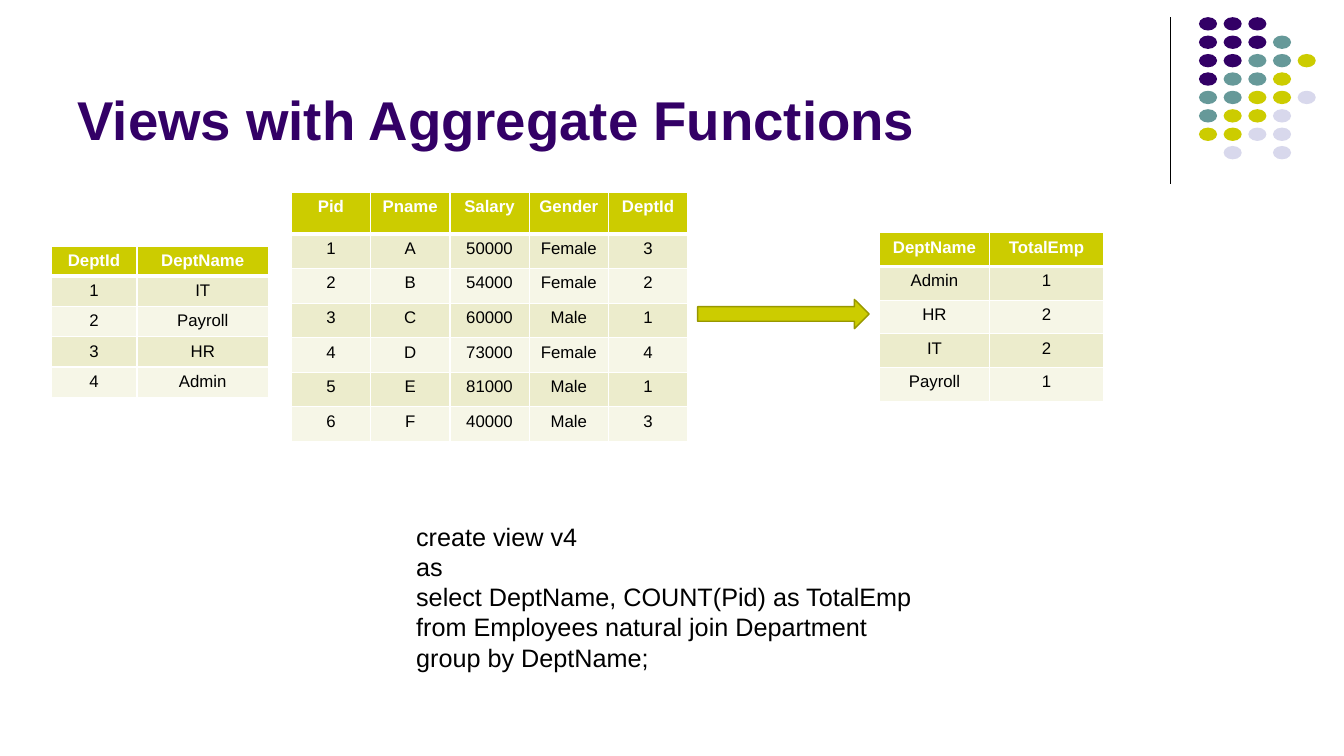
from collections import namedtuple

from lxml import etree
from pptx import Presentation
from pptx.dml.color import RGBColor
from pptx.enum.shapes import MSO_CONNECTOR, MSO_SHAPE
from pptx.enum.text import MSO_ANCHOR, PP_ALIGN
from pptx.oxml.ns import qn
from pptx.util import Emu, Inches, Pt

STRAIGHT = MSO_CONNECTOR.STRAIGHT
OVAL, RIGHT_ARROW = MSO_SHAPE.OVAL, MSO_SHAPE.RIGHT_ARROW
TOP, BOTTOM = MSO_ANCHOR.TOP, MSO_ANCHOR.BOTTOM
LEFT, CENTER = PP_ALIGN.LEFT, PP_ALIGN.CENTER

BLACK = RGBColor(0x00, 0x00, 0x00)
WHITE = RGBColor(0xFF, 0xFF, 0xFF)
PURPLE = RGBColor(0x33, 0x00, 0x66)
TEAL = RGBColor(0x66, 0x99, 0x99)
LIME = RGBColor(0xCC, 0xCC, 0x00)
OLIVE = RGBColor(0x97, 0x97, 0x00)
LAVENDER = RGBColor(0xD8, 0xD8, 0xEC)
BAND_DARK = RGBColor(0xEC, 0xEC, 0xCC)
BAND_LIGHT = RGBColor(0xF6, 0xF6, 0xE7)

SLIDE_WIDTH, SLIDE_HEIGHT = Inches(13.33), Inches(7.5)
Box = namedtuple("Box", "left top width height")

TITLE_FORMAT = {"size": Pt(39), "bold": True, "name": "Arial"}
CODE_FORMAT = {"size": Pt(18), "bold": False, "name": "Arial"}
HEADER_FORMAT = {"size": Pt(12), "bold": True, "name": "Arial"}
BODY_FORMAT = {**HEADER_FORMAT, "bold": False}

DOT_COLORS = {"P": PURPLE, "T": TEAL, "L": LIME, "V": LAVENDER}
DOT_ROWS = ["PPP", "PPPT", "PPTTL", "PTTL", "TTLLV", "TLLV", "LLVV", " V V"]

VIEW_CODE = [
    "create view v4",
    "as",
    "select DeptName, COUNT(Pid) as TotalEmp",
    "from Employees natural join Department",
    "group by DeptName;",
]
DEPARTMENTS = [
    ("DeptId", "DeptName"),
    ("1", "IT"), ("2", "Payroll"), ("3", "HR"), ("4", "Admin"),
]
EMPLOYEES = [
    ("Pid", "Pname", "Salary", "Gender", "DeptId"),
    ("1", "A", "50000", "Female", "3"),
    ("2", "B", "54000", "Female", "2"),
    ("3", "C", "60000", "Male", "1"),
    ("4", "D", "73000", "Female", "4"),
    ("5", "E", "81000", "Male", "1"),
    ("6", "F", "40000", "Male", "3"),
]
TOTALS = [
    ("DeptName", "TotalEmp"),
    ("Admin", "1"), ("HR", "2"), ("IT", "2"), ("Payroll", "1"),
]


def percent_box(left, top, width, height):
    """Return a box given in percent of the slide's width and height."""
    return Box(
        Emu(round(SLIDE_WIDTH * left / 100)), Emu(round(SLIDE_HEIGHT * top / 100)),
        Emu(round(SLIDE_WIDTH * width / 100)), Emu(round(SLIDE_HEIGHT * height / 100)),
    )


def write_lines(text_frame, lines, formats, color, alignment=LEFT):
    """Write one paragraph per line with the given font values."""
    for index, line in enumerate(lines):
        paragraph = text_frame.add_paragraph() if index else text_frame.paragraphs[0]
        paragraph.alignment = alignment
        run = paragraph.add_run()
        run.text = line
        for name, value in formats.items():
            setattr(run.font, name, value)
        run.font.color.rgb = color


def add_text(slide, box, lines, formats, color, anchor=TOP):
    """Place a wrapping text box."""
    text_frame = slide.shapes.add_textbox(*box).text_frame
    text_frame.word_wrap = True
    text_frame.vertical_anchor = anchor
    write_lines(text_frame, lines, formats, color)


def add_dot_panel(slide, box):
    """Draw the vertical rule and the dot pattern to its right."""
    rule = slide.shapes.add_connector(
        STRAIGHT, box.left, box.top, box.left, box.top + box.height)
    rule.line.color.rgb = BLACK
    rule.line.width = Pt(0.75)
    etree.SubElement(rule._element.spPr, qn("a:effectLst"))

    dot_width, dot_height = box.width // 8, round(box.height * 0.08)
    column_step, row_step = round(box.width * 0.17), round(box.height * 0.11)
    first_left = box.left + box.width - dot_width - 4 * column_step
    dots = slide.shapes.add_group_shape()
    for row, codes in enumerate(DOT_ROWS):
        for column, code in enumerate(codes):
            if code in DOT_COLORS:
                dot = dots.shapes.add_shape(
                    OVAL, first_left + column * column_step,
                    box.top + row * row_step, dot_width, dot_height)
                dot.shadow.inherit = False
                dot.fill.solid()
                dot.fill.fore_color.rgb = DOT_COLORS[code]
                dot.line.fill.background()


def add_cell_borders(cell, bottom_width):
    """Give a cell white borders, placed ahead of its fill."""
    properties = cell._tc.get_or_add_tcPr()
    widths = {"a:lnL": 1, "a:lnR": 1, "a:lnT": 1, "a:lnB": bottom_width}
    for index, (tag, width) in enumerate(widths.items()):
        border = etree.Element(qn(tag), w=str(Pt(width)))
        fill = etree.SubElement(border, qn("a:solidFill"))
        etree.SubElement(fill, qn("a:srgbClr"), val=str(WHITE))
        properties.insert(index, border)


def add_data_table(slide, box, rows, column_weights, header_weight=1):
    """Place a banded table whose columns and rows share out the box."""
    table = slide.shapes.add_table(len(rows), len(rows[0]), *box).table
    for column, weight in zip(table.columns, column_weights):
        column.width = Emu(round(box.width * weight / sum(column_weights)))
    row_height = box.height / (len(rows) - 1 + header_weight)
    for row_index, values in enumerate(rows):
        is_header = row_index == 0
        table.rows[row_index].height = Emu(
            round(row_height * (header_weight if is_header else 1)))
        band = BAND_DARK if row_index % 2 else BAND_LIGHT
        for column_index, value in enumerate(values):
            cell = table.cell(row_index, column_index)
            cell.margin_left = cell.margin_right = Inches(0.07)
            cell.fill.solid()
            cell.fill.fore_color.rgb = LIME if is_header else band
            write_lines(
                cell.text_frame, [value],
                HEADER_FORMAT if is_header else BODY_FORMAT,
                WHITE if is_header else BLACK, CENTER)
            add_cell_borders(cell, 3 if is_header else 1)


def add_result_arrow(slide, box):
    """Draw the block arrow that leads to the result table."""
    arrow = slide.shapes.add_shape(RIGHT_ARROW, *box)
    arrow.shadow.inherit = False
    arrow.fill.solid()
    arrow.fill.fore_color.rgb = LIME
    arrow.line.color.rgb = OLIVE
    arrow.line.width = Pt(1)


def main():
    """Build the slide and save it."""
    presentation = Presentation()
    presentation.slide_width = SLIDE_WIDTH
    presentation.slide_height = SLIDE_HEIGHT
    slide = presentation.slides.add_slide(presentation.slide_layouts[6])

    add_dot_panel(slide, percent_box(87.1, 2.27, 10.8, 22.13))
    add_text(slide, percent_box(5.03, 1.73, 82.5, 18.93),
             ["Views with Aggregate Functions"], TITLE_FORMAT, PURPLE, BOTTOM)
    add_text(slide, percent_box(30.23, 68.27, 39.53, 21.6),
             VIEW_CODE, CODE_FORMAT, BLACK)
    add_data_table(slide, percent_box(3.79, 32.53, 16.2, 20), DEPARTMENTS, (0.85, 1.3))
    add_data_table(slide, percent_box(21.68, 25.47, 29.5, 32.93), EMPLOYEES,
                   [1] * 5, header_weight=1.2)
    add_result_arrow(slide, percent_box(51.91, 39.6, 12.75, 3.87))
    add_data_table(slide, percent_box(65.42, 30.8, 16.68, 22.27), TOTALS, (1.1, 1.13))

    presentation.save("out.pptx")


if __name__ == "__main__":
    main()
